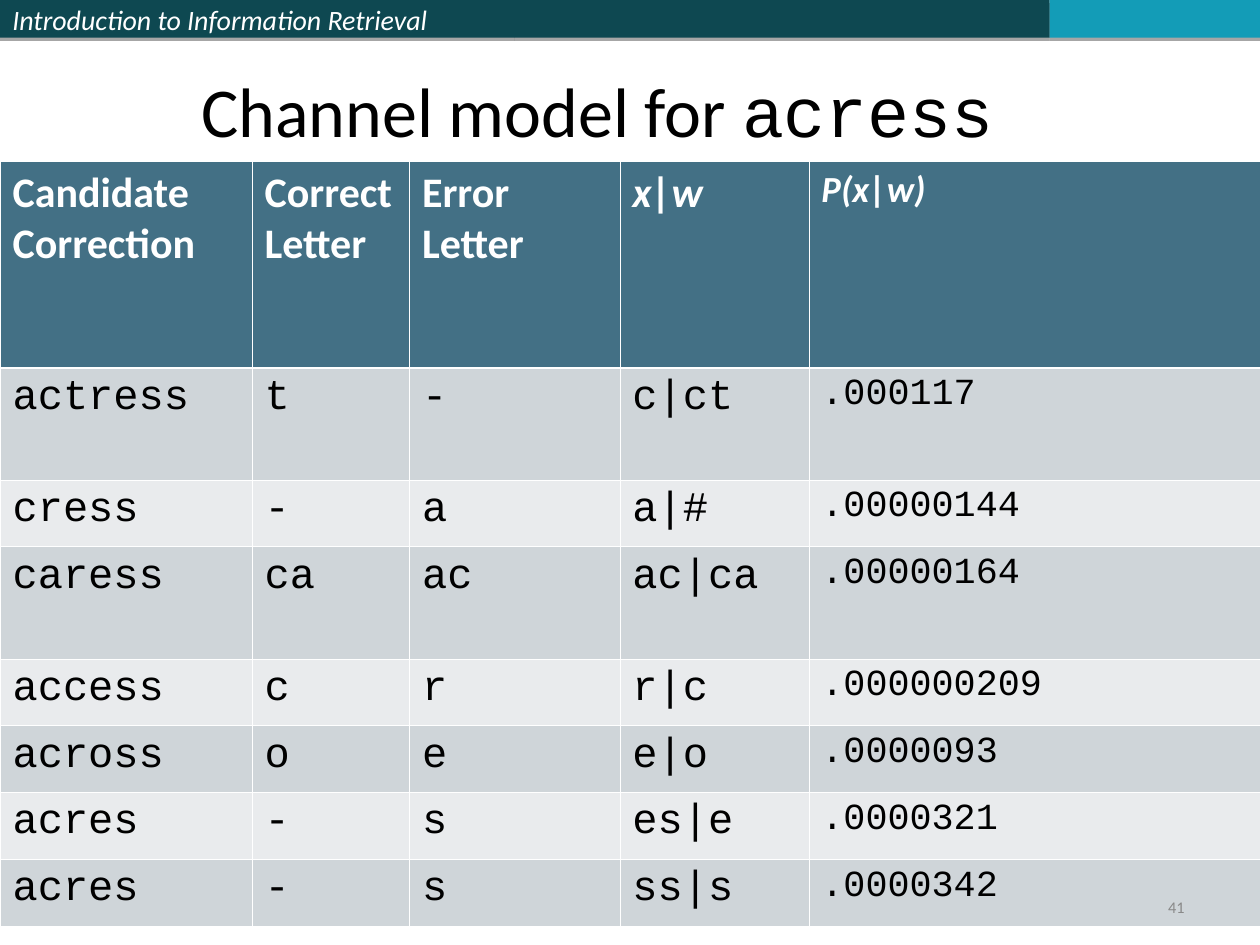
from lxml import etree
from pptx import Presentation
from pptx import util as u
from pptx.dml.color import RGBColor
from pptx.enum import shapes, text
from pptx.oxml import ns

COLORS = {
    "banner": "0E4851", "accent": "139CB7", "white": "FFFFFF", "black": "000000",
    "header": "437085", "odd_row": "CFD5D9", "even_row": "E9EBED", "number": "898989",
}
SANS, MONO = "Calibri", "Courier New"
COLUMN_WIDTHS = [2, 1.25, 1.67, 1.5, 3.58]
ROW_HEIGHTS = [1.64, 0.89, 0.53, 0.89, 0.53, 0.53, 0.53, 0.53]
ROWS = [
    ["Candidate Correction", "Correct Letter", "Error Letter", "x|w", "P(x|w)"],
    ["actress", "t", "-", "c|ct", ".000117"],
    ["cress", "-", "a", "a|#", ".00000144"],
    ["caress", "ca", "ac", "ac|ca", ".00000164"],
    ["access", "c", "r", "r|c", ".000000209"],
    ["across", "o", "e", "e|o", ".0000093"],
    ["acres", "-", "s", "es|e", ".0000321"],
    ["acres", "-", "s", "ss|s", ".0000342"],
]


def rgb(name):
    """Look up a palette colour."""
    return RGBColor.from_string(COLORS[name])


def style_run(run, size, color, font=SANS, bold=False, italic=False):
    """Set the font of a run."""
    run.font.size = u.Pt(size)
    run.font.name = font
    run.font.color.rgb = rgb(color)
    run.font.bold = bold
    run.font.italic = italic


def add_shadow(shape):
    """Give a shape a thin, sharp shadow straight below it."""
    effects = etree.SubElement(shape._element.spPr, ns.qn("a:effectLst"))
    shadow = etree.SubElement(effects, ns.qn("a:outerShdw"), blurRad="0",
                              dist=str(u.Pt(1.8)), dir="5400000", rotWithShape="0")
    tint = etree.SubElement(shadow, ns.qn("a:srgbClr"), val=COLORS["black"])
    etree.SubElement(tint, ns.qn("a:alpha"), val="35000")


def add_band(slide, left, width, color, label=""):
    """Draw one segment of the top banner."""
    band = slide.shapes.add_shape(shapes.MSO_SHAPE.RECTANGLE, u.Inches(left), 0,
                                  u.Inches(width), u.Inches(0.3))
    band.fill.solid()
    band.fill.fore_color.rgb = rgb(color)
    band.line.fill.background()
    add_shadow(band)
    if label:
        frame = band.text_frame
        frame.text = label
        frame.vertical_anchor = text.MSO_ANCHOR.MIDDLE
        frame.paragraphs[0].alignment = text.PP_ALIGN.LEFT
        style_run(frame.paragraphs[0].runs[0], 16, "white", italic=True)


def add_label(slide, left, top, width, height, anchor):
    """Add a wrapping text box and return its first paragraph."""
    box = slide.shapes.add_textbox(*map(u.Inches, (left, top, width, height)))
    box.text_frame.word_wrap = True
    box.text_frame.vertical_anchor = anchor
    return box.text_frame.paragraphs[0]


def add_title(slide):
    """Write the title, with the misspelling in monospace."""
    title = add_label(slide, 1.5, 0.17, 8.17, 1.08, text.MSO_ANCHOR.BOTTOM)
    for words, font in (("Channel model for ", SANS), ("acress", MONO)):
        run = title.add_run()
        run.text = words
        style_run(run, 40, "black", font)


def set_borders(cell, top, bottom):
    """Draw white cell borders; top and bottom widths are in points."""
    props = cell._tc.get_or_add_tcPr()
    widths = (("a:lnL", 0.45), ("a:lnR", 0.45), ("a:lnT", top), ("a:lnB", bottom))
    for index, (side, width) in enumerate(widths):
        line = etree.Element(ns.qn(side), w=str(u.Pt(width)))
        fill = etree.SubElement(line, ns.qn("a:solidFill"))
        etree.SubElement(fill, ns.qn("a:srgbClr"), val=COLORS["white"])
        props.insert(index, line)


def fill_cell(cell, words, row, column):
    """Write and style one cell by its position."""
    is_header = row == 0
    size = 21 if column == 4 else 24
    cell.text = words
    run = cell.text_frame.paragraphs[0].runs[0]
    if is_header:
        style_run(run, size, "white", bold=True, italic=column >= 3)
    else:
        style_run(run, size, "black", MONO)
    cell.fill.solid()
    cell.fill.fore_color.rgb = rgb(
        "header" if is_header else "odd_row" if row % 2 else "even_row")
    set_borders(cell, 1.47 if row == 1 else 0.45, 1.47 if is_header else 0.45)


def add_channel_table(slide):
    """Build the table of candidate corrections."""
    table = slide.shapes.add_table(
        len(ROWS), len(COLUMN_WIDTHS), 0, u.Inches(1.28),
        u.Inches(sum(COLUMN_WIDTHS)), u.Inches(sum(ROW_HEIGHTS))).table
    for column, width in zip(table.columns, COLUMN_WIDTHS):
        column.width = u.Inches(width)
    for row, (height, entries) in enumerate(zip(ROW_HEIGHTS, ROWS)):
        table.rows[row].height = u.Inches(height)
        for column, words in enumerate(entries):
            fill_cell(table.cell(row, column), words, row, column)


def add_page_number(slide):
    """Write the slide number at the lower right."""
    number = add_label(slide, 7.17, 7.08, 2.33, 0.27, text.MSO_ANCHOR.MIDDLE)
    number.text = "41"
    number.alignment = text.PP_ALIGN.RIGHT
    number.line_spacing = 0.8
    style_run(number.runs[0], 9.3, "number")


def main():
    """Build and save the slide."""
    deck = Presentation()
    deck.slide_width, deck.slide_height = u.Inches(10), u.Inches(7.5)
    slide = deck.slides.add_slide(deck.slide_layouts[6])
    add_band(slide, 0, 4.08, "banner", "Introduction to Information Retrieval")
    add_band(slide, 4.08, 4.25, "banner")
    add_band(slide, 8.33, 1.67, "accent")
    add_title(slide)
    add_channel_table(slide)
    add_page_number(slide)
    deck.save("out.pptx")


main()
